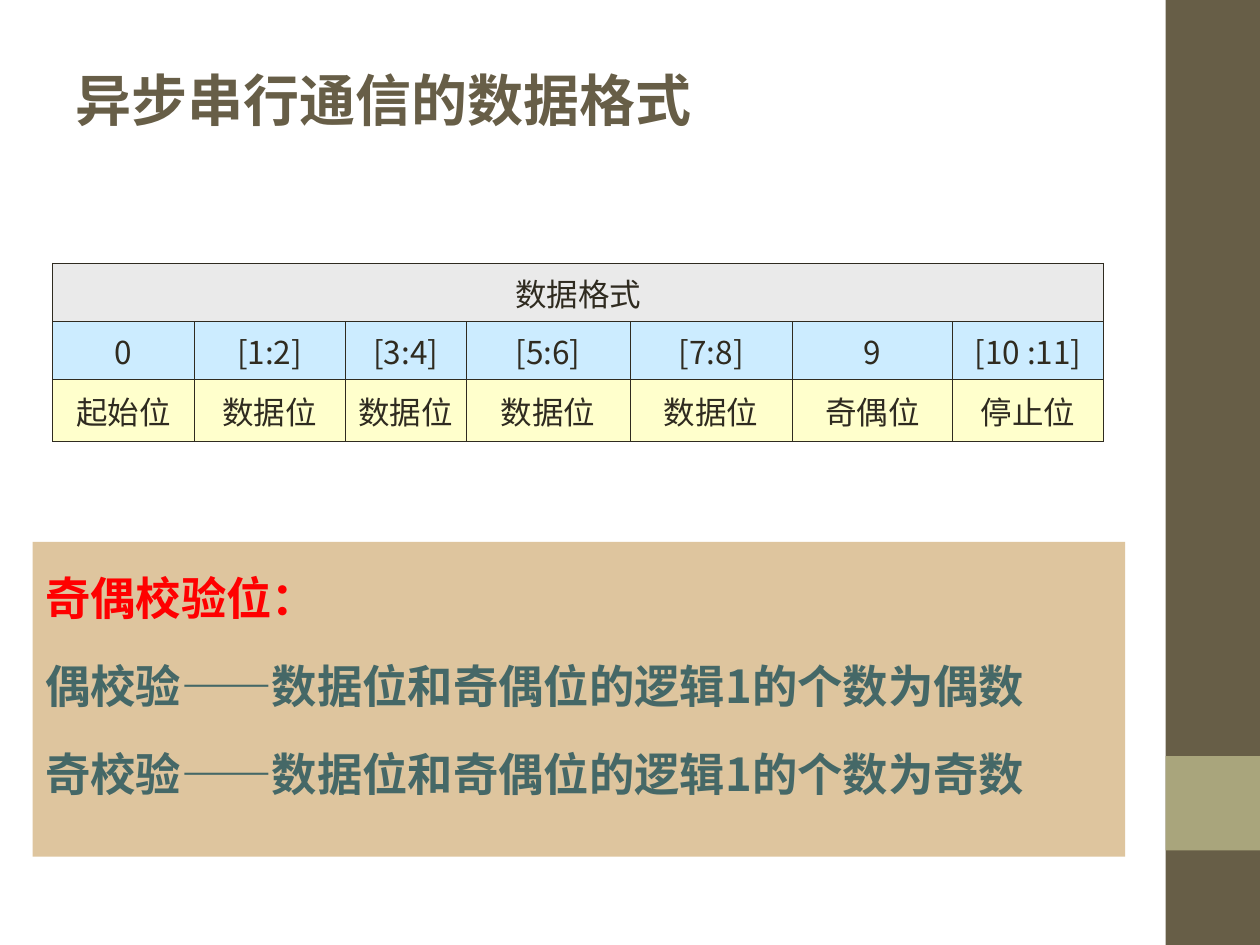
from lxml import etree
from pptx import Presentation
from pptx import util as u
from pptx.dml import color
from pptx.enum import shapes, text
from pptx.oxml import ns

SANS = "Noto Sans CJK SC"
BROWN, INK = "675E47", "2F2B20"


def rgb(code):
    return color.RGBColor.from_string(code)


class Deck:
    def __init__(self):
        self.prs = Presentation()
        self.prs.slide_width = u.Inches(10)
        self.prs.slide_height = u.Inches(7.5)
        self.slide = self.prs.slides.add_slide(self.prs.slide_layouts[5])

    def style(self, para, size, tint, bold=False, face=SANS):
        font = para.font
        font.size, font.bold, font.name = u.Pt(size), bold, face
        font.color.rgb = rgb(tint)
        props = para._p.pPr.find(ns.qn("a:defRPr"))
        etree.SubElement(props, ns.qn("a:ea"), typeface=SANS)

    def title(self, words, x, y, w, h):
        box = self.slide.shapes.title
        box.left, box.top = u.Inches(x), u.Inches(y)
        box.width, box.height = u.Inches(w), u.Inches(h)
        frame = box.text_frame
        frame.text = words
        frame.auto_size = text.MSO_AUTO_SIZE.NONE
        frame.vertical_anchor = text.MSO_ANCHOR.TOP
        para = frame.paragraphs[0]
        para.alignment = text.PP_ALIGN.LEFT
        self.style(para, 32, BROWN, True, "Cambria")

    def rect(self, x, y, w, h, tint):
        box = self.slide.shapes.add_shape(
            shapes.MSO_SHAPE.RECTANGLE,
            u.Inches(x), u.Inches(y), u.Inches(w), u.Inches(h))
        box.shadow.inherit = False
        box.fill.solid()
        box.fill.fore_color.rgb = rgb(tint)
        box.line.fill.background()
        return box

    def panel(self, x, y, w, h, tint, lines):
        frame = self.rect(x, y, w, h, tint).text_frame
        frame.word_wrap = True
        frame.vertical_anchor = text.MSO_ANCHOR.TOP
        for i, (words, ink) in enumerate(lines):
            para = frame.add_paragraph() if i else frame.paragraphs[0]
            para.text = words
            para.alignment = text.PP_ALIGN.LEFT
            para.line_spacing = 1.4
            if i:
                para.space_before = u.Pt(7)
            props = para._p.get_or_add_pPr()
            props.set("marL", str(u.Inches(0.3)))
            props.set("indent", str(-u.Inches(0.3)))
            self.style(para, 25.9, ink, True)

    def edge(self, cell, sides):
        props = cell._tc.get_or_add_tcPr()
        for i, (side, width) in enumerate(sides.items()):
            line = etree.Element(ns.qn("a:ln" + side), w=str(u.Pt(width)))
            fill = etree.SubElement(line, ns.qn("a:solidFill"))
            etree.SubElement(fill, ns.qn("a:srgbClr"), val=INK)
            props.insert(i, line)

    def table(self, x, y, cols, highs, tints, rows):
        grid = self.slide.shapes.add_table(
            len(rows), len(cols), u.Inches(x), u.Inches(y),
            u.Inches(sum(cols)), u.Inches(sum(highs))).table
        grid.first_row = grid.horz_banding = False
        for col, wide in zip(grid.columns, cols):
            col.width = u.Inches(wide)
        for r, row in enumerate(rows):
            grid.rows[r].height = u.Inches(highs[r])
            for c in range(len(cols)):
                cell = grid.cell(r, c)
                cell.fill.solid()
                cell.fill.fore_color.rgb = rgb(tints[r])
                cell.vertical_anchor = text.MSO_ANCHOR.MIDDLE
                outer = {"L": c == 0, "R": c == len(cols) - 1,
                         "T": r == 0, "B": r == len(rows) - 1}
                self.edge(cell, {s: 0.75 if out else 0.45
                                 for s, out in outer.items()})
                if c < len(row):
                    cell.text = row[c]
                    para = cell.text_frame.paragraphs[0]
                    para.alignment = text.PP_ALIGN.CENTER
                    self.style(para, 18, INK)
            if len(row) == 1:
                grid.cell(r, 0).merge(grid.cell(r, len(cols) - 1))


def main():
    deck = Deck()
    deck.rect(9.25, 0, 0.75, 7.5, BROWN)
    deck.rect(9.25, 6, 0.75, 0.75, "A9A57C")
    deck.table(
        0.42, 2.09, [1.12, 1.2, 0.96, 1.3, 1.29, 1.27, 1.2],
        [0.46, 0.46, 0.49], ["EAEAEA", "CCECFF", "FFFFCC"],
        [["数据格式"],
         ["0", "[1:2]", "[3:4]", "[5:6]", "[7:8]", "9", "[10 :11]"],
         ["起始位"] + ["数据位"] * 4 + ["奇偶位", "停止位"]])
    deck.panel(0.26, 4.3, 8.67, 2.5, "DEC59E", [
        ("奇偶校验位：", "FF0000"),
        ("偶校验——数据位和奇偶位的逻辑1的个数为偶数", "456867"),
        ("奇校验——数据位和奇偶位的逻辑1的个数为奇数", "456867")])
    deck.title("异步串行通信的数据格式", 0.5, 0.47, 8.17, 0.78)
    deck.prs.save("out.pptx")


if __name__ == "__main__":
    main()
